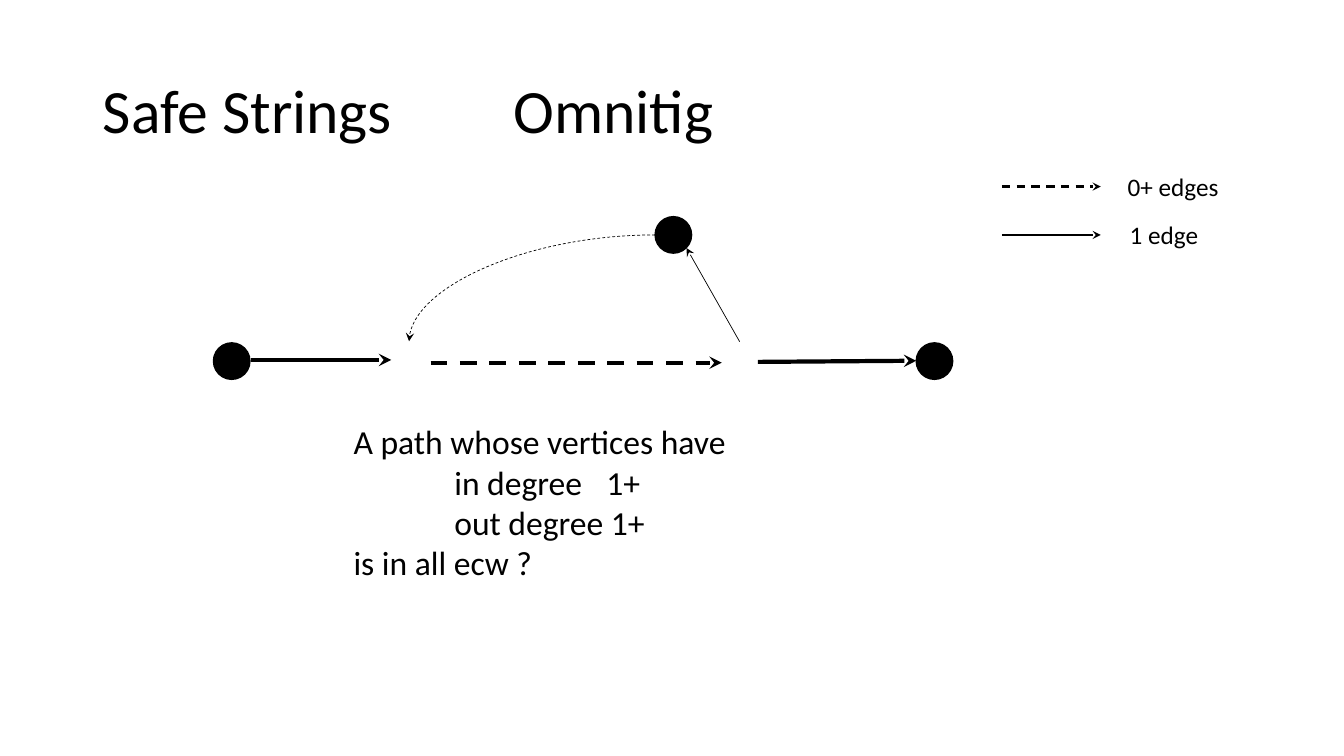
from lxml.etree import SubElement
from pptx import Presentation
from pptx.dml.color import RGBColor
from pptx.enum.dml import MSO_LINE
from pptx.enum.shapes import MSO_CONNECTOR, MSO_SHAPE
from pptx.enum.text import MSO_ANCHOR, PP_ALIGN
from pptx.oxml.ns import qn
from pptx.util import Cm, Pt

BLACK = RGBColor(0, 0, 0)
FONT = "Calibri"

TITLE = "Safe Strings\tOmnitig"
TITLE_TAB = 10.35
QUESTION = [
    "A path whose vertices have",
    "\tin degree\t1+",
    "\tout degree 1+",
    "is in all ecw ?",
]
QUESTION_TABS = (2.54, 6.37)

# Lengths in centimetres
NODE_SIZE = 0.92
NODES = [(5.38, 8.64), (16.51, 5.46), (23.09, 8.64)]  # left, top
# begin x, begin y, end x, end y, width in points, dashed
ARROWS = [
    (6.32, 9.07, 9.86, 9.07, 3, False),
    (10.85, 9.14, 18.19, 9.14, 3, True),
    (19.1, 9.12, 23.09, 9.09, 3, False),
    (18.64, 8.61, 17.3, 6.25, 0.5, False),
]
RETURN_ARROW = (16.51, 5.92, 10.31, 8.6, 0.5, True)
LEGEND_BEGIN, LEGEND_END = 25.25, 27.74
# label, label left, arrow y, dashed
LEGEND = [("0+ edges", 28.17, 4.7, True), ("1 edge", 28.22, 5.92, False)]


def add_arrow(slide, arrow, curved=False):
    begin_x, begin_y, end_x, end_y, width, dashed = arrow
    kind = MSO_CONNECTOR.CURVE if curved else MSO_CONNECTOR.STRAIGHT
    connector = slide.shapes.add_connector(
        kind, Cm(begin_x), Cm(begin_y), Cm(end_x), Cm(end_y))
    properties = connector._element.spPr
    if curved:
        properties.find(qn("a:prstGeom")).set("prst", "curvedConnector2")
    connector.line.color.rgb = BLACK
    connector.line.width = Pt(width)
    if dashed:
        connector.line.dash_style = MSO_LINE.DASH
    SubElement(properties.find(qn("a:ln")), qn("a:tailEnd"), type="stealth")
    SubElement(properties, qn("a:effectLst"))


def add_node(slide, left, top):
    node = slide.shapes.add_shape(
        MSO_SHAPE.OVAL, Cm(left), Cm(top), Cm(NODE_SIZE), Cm(NODE_SIZE))
    node.shadow.inherit = False
    node.fill.solid()
    node.fill.fore_color.rgb = BLACK
    node.line.color.rgb = BLACK
    node.line.width = Pt(1)


def write_line(paragraph, text, size, tabs=()):
    paragraph.alignment = PP_ALIGN.LEFT
    if tabs:
        tab_list = SubElement(paragraph._p.get_or_add_pPr(), qn("a:tabLst"))
        for position in tabs:
            SubElement(tab_list, qn("a:tab"), pos=str(Cm(position)), algn="l")
    run = paragraph.add_run()
    run.text = text
    run.font.name = FONT
    run.font.size = Pt(size)
    run.font.color.rgb = BLACK


def add_text(slide, left, top, width, height, lines, size, tabs=()):
    box = slide.shapes.add_textbox(Cm(left), Cm(top), Cm(width), Cm(height))
    frame = box.text_frame
    frame.word_wrap = True
    for index, line in enumerate(lines):
        paragraph = frame.add_paragraph() if index else frame.paragraphs[0]
        write_line(paragraph, line, size, tabs if "\t" in line else ())


def main():
    presentation = Presentation()
    presentation.slide_width = Cm(33.87)
    presentation.slide_height = Cm(19.05)
    slide = presentation.slides.add_slide(presentation.slide_layouts[5])

    title = slide.shapes.title
    title.left, title.top = Cm(2.34), Cm(1.02)
    title.width, title.height = Cm(29.21), Cm(3.68)
    title.text_frame.vertical_anchor = MSO_ANCHOR.MIDDLE
    heading = title.text_frame.paragraphs[0]
    heading.line_spacing = 0.9
    write_line(heading, TITLE, 44, (TITLE_TAB,))

    for arrow in ARROWS:
        add_arrow(slide, arrow)
    add_arrow(slide, RETURN_ARROW, curved=True)
    for left, top in NODES:
        add_node(slide, left, top)

    for label, left, y, dashed in LEGEND:
        add_arrow(slide, (LEGEND_BEGIN, y, LEGEND_END, y, 1.5, dashed))
        add_text(slide, left, y - 0.51, 5.65, 1.02, [label], 18)

    add_text(slide, 8.66, 10.49, 12.17, 4.37, QUESTION, 24, QUESTION_TABS)
    presentation.save("out.pptx")


if __name__ == "__main__":
    main()
